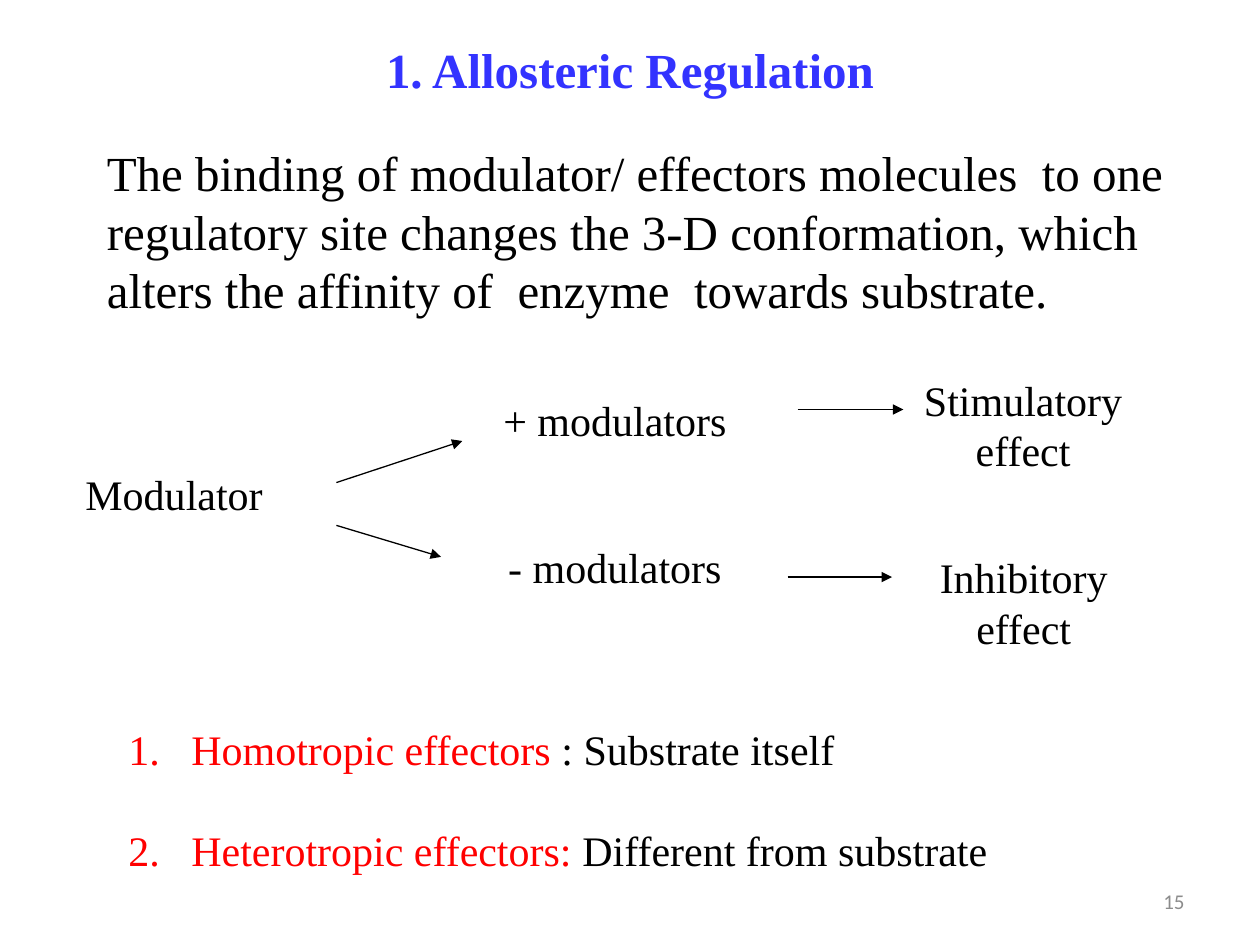
from dataclasses import dataclass

from lxml import etree
from pptx import Presentation
from pptx import util as u
from pptx.dml.color import RGBColor
from pptx.enum import shapes, text
from pptx.oxml.ns import qn


@dataclass(frozen=True)
class Theme:
    serif: str = "Times New Roman"
    sans: str = "Calibri"
    title_size: int = 28
    label_size: int = 24
    number_size: int = 12
    line_width: float = 0.75
    black: str = "000000"
    white: str = "FFFFFF"
    blue: str = "3333FF"
    red: str = "FF0000"
    grey: str = "8C8C8C"


THEME = Theme()
CENTER = text.PP_ALIGN.CENTER
MIDDLE = text.MSO_ANCHOR.MIDDLE


def rgb(value):
    return RGBColor.from_string(value)


def add_run(paragraph, words, size=THEME.label_size, color=THEME.black,
            font=THEME.serif, bold=False):
    run = paragraph.add_run()
    run.text = words
    run.font.size = u.Pt(size)
    run.font.name = font
    run.font.bold = bold
    run.font.color.rgb = rgb(color)


def add_text(slide, box, words="", align=text.PP_ALIGN.LEFT,
             anchor=text.MSO_ANCHOR.TOP, indent=0, fill=None, **style):
    """Place one paragraph in a text box, or in a rectangle when filled."""
    place = [u.Inches(length) for length in box]
    if fill:
        holder = slide.shapes.add_shape(shapes.MSO_SHAPE.RECTANGLE, *place)
        holder.shadow.inherit = False
        holder.fill.solid()
        holder.fill.fore_color.rgb = rgb(fill)
        holder.line.fill.background()
    else:
        holder = slide.shapes.add_textbox(*place)
    frame = holder.text_frame
    frame.word_wrap = True
    frame.vertical_anchor = anchor
    paragraph = frame.paragraphs[0]
    paragraph.alignment = align
    if indent:
        paragraph._p.get_or_add_pPr().set("marL", str(u.Inches(indent)))
    if words:
        add_run(paragraph, words, **style)
    return frame


def add_arrow(slide, start, end):
    ends = [u.Inches(length) for length in (*start, *end)]
    arrow = slide.shapes.add_connector(shapes.MSO_CONNECTOR.STRAIGHT, *ends)
    arrow.line.color.rgb = rgb(THEME.black)
    arrow.line.width = u.Pt(THEME.line_width)
    head = etree.SubElement(arrow.line._get_or_add_ln(), qn("a:tailEnd"))
    head.set("type", "triangle")
    etree.SubElement(arrow._element.spPr, qn("a:effectLst"))


def add_numbered_list(slide, box, entries, gap):
    frame = add_text(slide, box)
    for index, (term, meaning) in enumerate(entries):
        paragraph = frame.add_paragraph() if index else frame.paragraphs[0]
        if index:
            paragraph.space_before = u.Pt(gap)
        props = paragraph._p.get_or_add_pPr()
        props.set("marL", str(u.Inches(0.5)))
        props.set("indent", str(u.Inches(-0.5)))
        number = etree.SubElement(props, qn("a:buAutoNum"))
        number.set("type", "arabicPeriod")
        add_run(paragraph, term, color=THEME.red)
        add_run(paragraph, meaning)


def add_modulator_diagram(slide):
    add_text(slide, (0.58, 3.67, 1.83, 0.5), "Modulator")

    # Branches from the modulator
    add_arrow(slide, (2.67, 3.83), (3.67, 3.5))
    add_arrow(slide, (2.67, 4.17), (3.5, 4.42))
    for words, top in (("+ modulators", 3.08), ("- modulators", 4.25)):
        add_text(slide, (3.67, top, 2.42, 0.5), words, align=CENTER,
                 fill=THEME.white)

    # Effects of each branch
    add_text(slide, (6.83, 2.92, 2.58, 0.91), "Stimulatory effect", align=CENTER)
    add_text(slide, (7.25, 4.33, 1.75, 0.91), "Inhibitory effect", align=CENTER)
    add_arrow(slide, (6.33, 3.25), (7.17, 3.25))
    add_arrow(slide, (6.25, 4.58), (7.08, 4.58))


def main():
    deck = Presentation()
    deck.slide_width, deck.slide_height = u.Inches(10), u.Inches(7.5)
    slide = deck.slides.add_slide(deck.slide_layouts[6])

    # Title and definition
    add_text(slide, (0, 0.17, 10, 0.76), "1. Allosteric Regulation",
             align=CENTER, anchor=MIDDLE, size=THEME.title_size,
             color=THEME.blue, bold=True)
    add_text(slide, (0.25, 1.08, 9.33, 1.51),
             "The binding of modulator/ effectors molecules  to one regulatory "
             "site changes the 3-D conformation, which alters the affinity of  "
             "enzyme  towards substrate.",
             indent=0.5, size=THEME.title_size)

    add_modulator_diagram(slide)

    # Kinds of effectors
    effectors = [("Homotropic effectors ", ": Substrate itself"),
                 ("Heterotropic effectors: ", "Different from substrate")]
    add_numbered_list(slide, (0.92, 5.69, 7.92, 1.31), effectors, gap=29)

    # Slide number
    add_text(slide, (7.17, 6.95, 2.33, 0.4), "15", align=text.PP_ALIGN.RIGHT,
             anchor=MIDDLE, size=THEME.number_size, color=THEME.grey,
             font=THEME.sans)

    deck.save("out.pptx")


if __name__ == "__main__":
    main()
